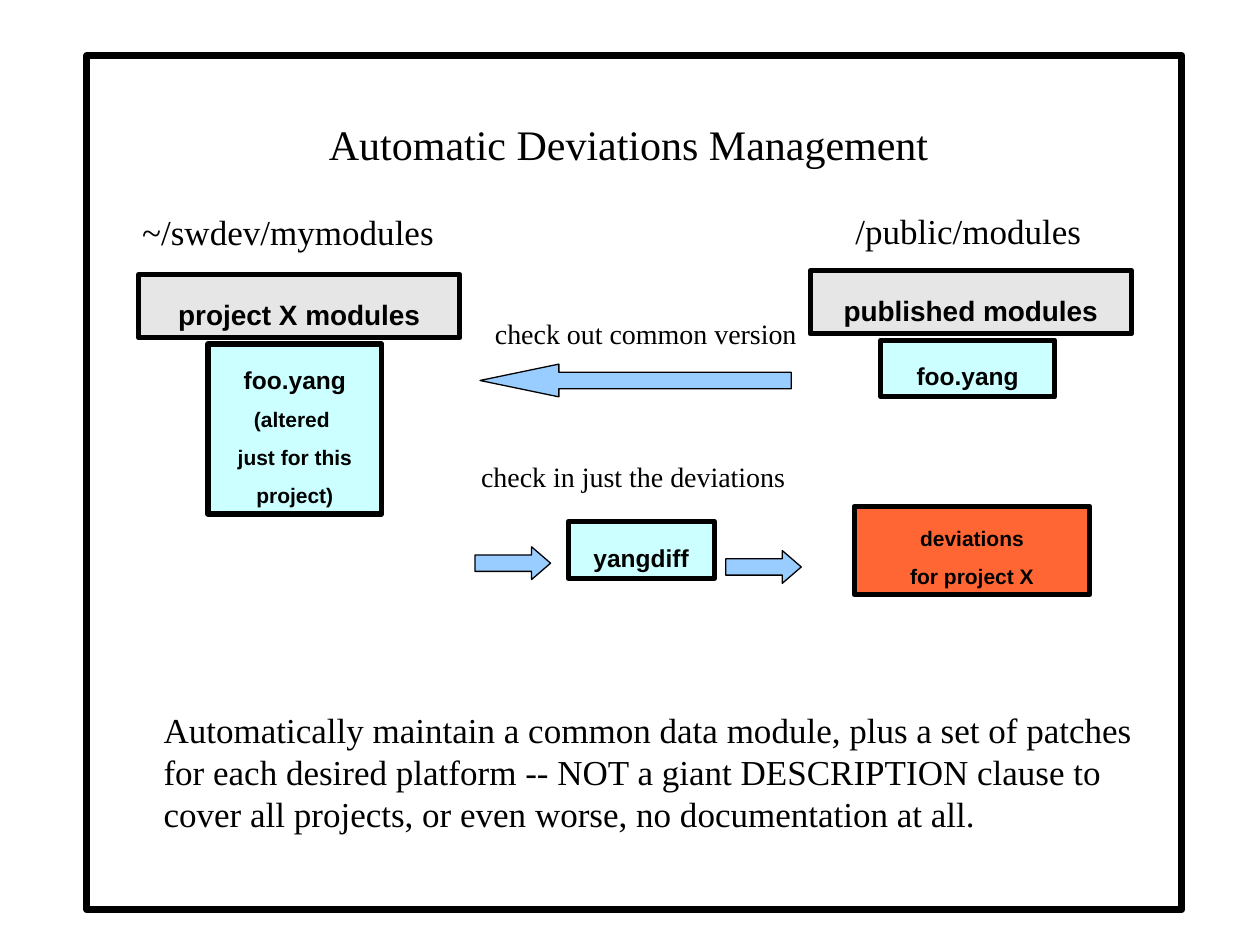
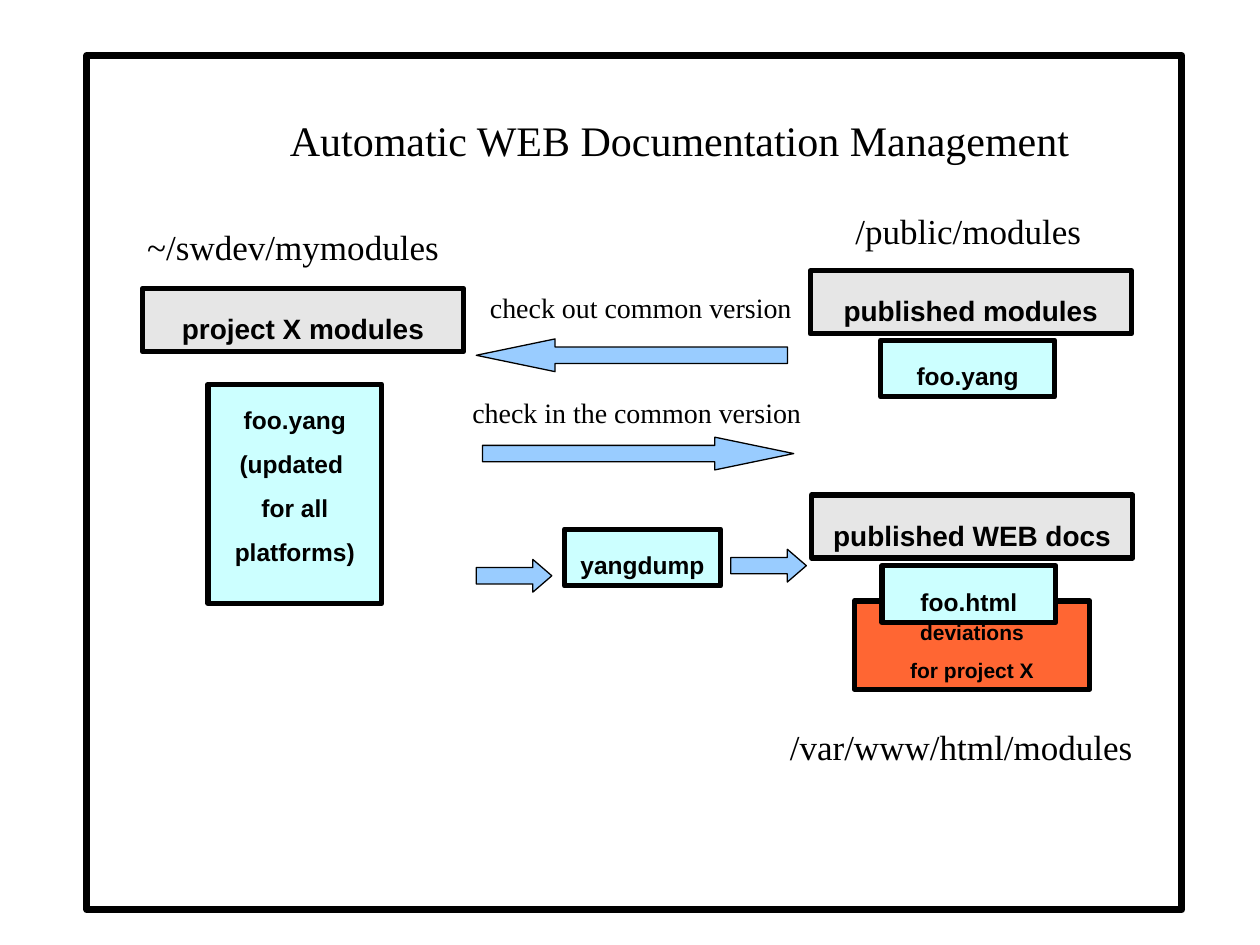
from dataclasses import dataclass

import pptx
import pptx.dml.color
import pptx.enum.shapes
import pptx.enum.text
import pptx.util
from lxml import etree
from pptx.util import Inches

MSO_SHAPE = pptx.enum.shapes.MSO_SHAPE
MSO_AUTO_SIZE = pptx.enum.text.MSO_AUTO_SIZE
PP_ALIGN = pptx.enum.text.PP_ALIGN

# Shared colours and fonts
BLACK, WHITE = "000000", "FFFFFF"
GREY, CYAN, ORANGE, BLUE = "E6E6E6", "CCFFFF", "FF6633", "99CCFF"
SANS, SERIF = "Arial", "Times New Roman"
TITLE_SIZE, PATH_SIZE, STEP_SIZE = 24, 20, 16
ARROW_HEIGHT = 0.26


@dataclass
class BoxStyle:
    fill: str
    size: int
    width: float
    height: float


FOLDER = BoxStyle(GREY, 16, 2.55, 0.5)
MODULE = BoxStyle(CYAN, 14, 1.38, 0.45)
DEVIATIONS = BoxStyle(ORANGE, 12, 1.87, 0.7)


@dataclass
class Box:
    style: BoxStyle
    left: float
    top: float
    text: str
    width: float | None = None
    height: float | None = None
    note_size: int | None = None  # size of the lines after the first


@dataclass
class Arrow:
    kind: MSO_SHAPE
    left: float
    top: float
    width: float
    head: float  # head length relative to the arrow height


@dataclass
class Label:
    left: float
    top: float
    width: float
    text: str
    size: int = PATH_SIZE


def check_out(left: float, top: float) -> Arrow:
    return Arrow(MSO_SHAPE.LEFT_ARROW, left, top, 2.47, 2.41)


def check_in(left: float, top: float) -> Arrow:
    return Arrow(MSO_SHAPE.RIGHT_ARROW, left, top, 2.47, 2.41)


def tool_arrow(left: float, top: float) -> Arrow:
    return Arrow(MSO_SHAPE.RIGHT_ARROW, left, top, 0.6, 0.58)


def rgb(color: str) -> pptx.dml.color.RGBColor:
    return pptx.dml.color.RGBColor.from_string(color)


def add_run(p, text: str, size: float, name: str, bold: bool = False) -> None:
    r = p.add_run()
    r.text = text
    font = {"size": pptx.util.Pt(size), "name": name, "bold": bold}
    for key, value in font.items():
        setattr(r.font, key, value)
    r.font.color.rgb = rgb(BLACK)


def add_break(p, size: int) -> None:
    p.add_line_break()
    br = p._p[-1]
    etree.SubElement(br, br.tag.replace("}br", "}rPr"), sz=str(size * 100))


def add_shape(s, kind, left: float, top: float, width: float, height: float,
              fill: str, line: float):
    sp = s.shapes.add_shape(kind, Inches(left), Inches(top),
                            Inches(width), Inches(height))
    sp.shadow.inherit = False
    sp.fill.solid()
    sp.fill.fore_color.rgb = rgb(fill)
    sp.line.color.rgb = rgb(BLACK)
    sp.line.width = pptx.util.Pt(line)
    return sp


def draw_box(s, box: Box) -> None:
    style = box.style
    sp = add_shape(s, MSO_SHAPE.RECTANGLE, box.left, box.top,
                   box.width or style.width, box.height or style.height,
                   style.fill, 3)
    tf = sp.text_frame
    tf.word_wrap = True
    tf.vertical_anchor = pptx.enum.text.MSO_ANCHOR.TOP
    p = tf.paragraphs[0]
    p.alignment = PP_ALIGN.CENTER
    p.line_spacing = 1.5
    size = style.size
    for i, line in enumerate(box.text.split("\n")):
        if i:
            add_break(p, size)
            size = box.note_size or size
        add_run(p, line, size, SANS, True)


def draw_arrow(s, arrow: Arrow) -> None:
    sp = add_shape(s, arrow.kind, arrow.left, arrow.top, arrow.width,
                   ARROW_HEIGHT, BLUE, 0)
    sp.adjustments[0] = 0.5
    sp.adjustments[1] = arrow.head


def write_label(sp, label: Label) -> None:
    tf = sp.text_frame
    frame = {"word_wrap": False, "auto_size": MSO_AUTO_SIZE.SHAPE_TO_FIT_TEXT,
             "vertical_anchor": pptx.enum.text.MSO_ANCHOR.TOP}
    for key, value in frame.items():
        setattr(tf, key, value)
    p = tf.paragraphs[0]
    p.alignment = PP_ALIGN.LEFT
    add_run(p, label.text, label.size, SERIF)


def label_area(label: Label) -> tuple:
    # One line of text plus the top and bottom insets
    return (Inches(label.left), Inches(label.top), Inches(label.width),
            Inches(label.size / 60 + 0.1))


def draw_label(s, label: Label) -> None:
    write_label(s.shapes.add_textbox(*label_area(label)), label)


def set_title(s, label: Label) -> None:
    sp = s.shapes.title
    sp.left, sp.top, sp.width, sp.height = label_area(label)
    write_label(sp, label)


def add_summary(s, text: str) -> None:
    sp = s.shapes.add_textbox(Inches(1.2), Inches(5.57), Inches(7.97), Inches(1.1))
    sp.text_frame.word_wrap = True
    add_run(sp.text_frame.paragraphs[0], text, PATH_SIZE, SERIF)


def add_frame(s, layout) -> None:
    """Put the black border on the layout that all slides share."""
    sp = add_shape(s, MSO_SHAPE.RECTANGLE, 0.69, 0.44, 8.69, 6.78, WHITE, 4)
    sp._element.nvSpPr.cNvPr.set("id", "99")
    layout.shapes._spTree.insert(2, sp._element)


DRAW = {Box: draw_box, Arrow: draw_arrow, Label: draw_label}


def add_slide(prs, layout, title: Label, parts: list):
    s = prs.slides.add_slide(layout)
    set_title(s, title)
    for part in parts:
        DRAW[type(part)](s, part)
    return s


# What both slides say about the published modules
PUBLISHED = [
    Label(6.69, 1.61, 1.99, "/public/modules"),
    Box(FOLDER, 6.43, 2.15, "published modules"),
    Box(MODULE, 6.99, 2.7, "foo.yang"),
]

DEVIATIONS_SLIDE = [
    Label(1.03, 1.62, 2.52, "~/swdev/mymodules"),
    Box(FOLDER, 1.1, 2.18, "project X modules"),
    Box(MODULE, 1.65, 2.73, "foo.yang\n(altered \njust for this project)",
        height=1.35, note_size=12),
    *PUBLISHED,
    Label(3.83, 2.46, 2.6, "check out common version", STEP_SIZE),
    check_out(3.81, 2.89),
    Label(3.72, 3.6, 2.62, "check in just the deviations", STEP_SIZE),
    tool_arrow(3.77, 4.34),
    Box(MODULE, 4.51, 4.14, "yangdiff", width=1.16),
    tool_arrow(5.76, 4.37),
    Box(DEVIATIONS, 6.78, 4.02, "deviations\nfor project X"),
]

WEB_DOCS_SLIDE = [
    Label(1.07, 1.74, 2.52, "~/swdev/mymodules"),
    Box(FOLDER, 1.13, 2.29, "project X modules"),
    Box(MODULE, 1.65, 3.05, "foo.yang\n(updated \nfor all platforms)", height=1.74),
    *PUBLISHED,
    Label(3.79, 2.26, 2.6, "check out common version", STEP_SIZE),
    check_out(3.78, 2.69),
    Label(3.65, 3.09, 2.81, "check in the common version", STEP_SIZE),
    check_in(3.83, 3.47),
    tool_arrow(3.78, 4.44),
    Box(MODULE, 4.48, 4.2, "yangdump", width=1.24),
    tool_arrow(5.8, 4.36),
    Box(DEVIATIONS, 6.78, 4.77, "deviations\nfor project X"),
    Box(FOLDER, 6.44, 3.93, "published WEB docs"),
    Box(MODULE, 7, 4.49, "foo.html"),
    Label(6.17, 5.71, 2.92, "/var/www/html/modules"),
]


def main() -> None:
    prs = pptx.Presentation()
    prs.slide_width, prs.slide_height = Inches(10), Inches(7.5)
    layout = prs.slide_layouts.get_by_name("Title Only")

    # Slide 1: deviations
    s = add_slide(prs, layout, Label(2.51, 0.89, 4.96,
                  "Automatic Deviations Management", TITLE_SIZE), DEVIATIONS_SLIDE)
    add_summary(s, "Automatically maintain a common data module, plus a set of "
                   "patches for each desired platform -- NOT a giant DESCRIPTION "
                   "clause to cover all projects, or even worse, no documentation "
                   "at all.")
    add_frame(s, layout)

    # Slide 2: web documentation
    add_slide(prs, layout, Label(2.2, 0.86, 6.4,
              "Automatic WEB Documentation Management", TITLE_SIZE), WEB_DOCS_SLIDE)

    prs.save("out.pptx")


if __name__ == "__main__":
    main()
